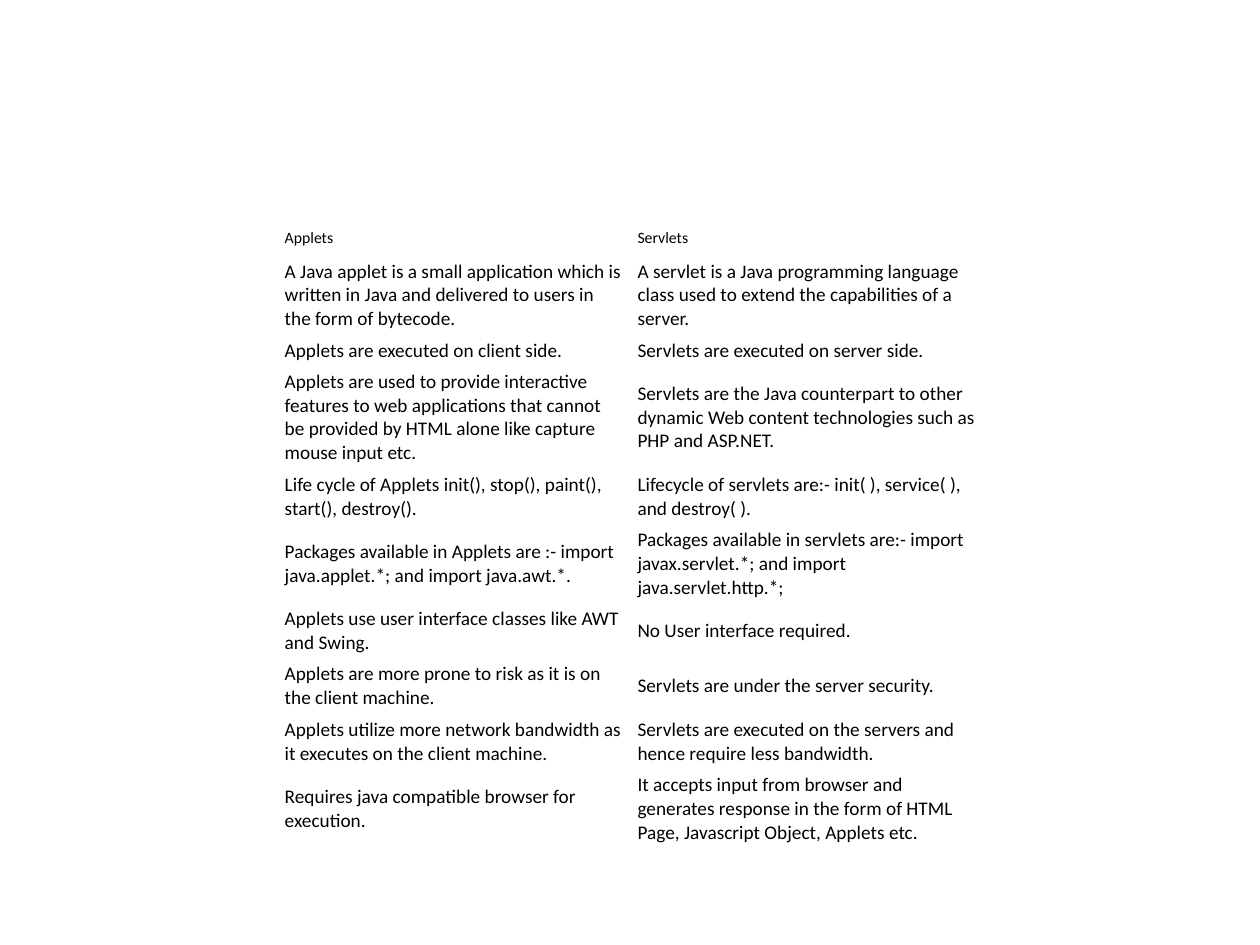
from dataclasses import dataclass
from typing import NamedTuple

from pptx import Presentation
from pptx.dml.color import RGBColor
from pptx.enum.text import MSO_ANCHOR
from pptx.util import Inches, Pt


@dataclass(frozen=True)
class Theme:
    font: str = "Calibri"
    ink: RGBColor = RGBColor(0x00, 0x00, 0x00)
    paper: RGBColor = RGBColor(0xFF, 0xFF, 0xFF)
    heading_size: int = 9
    body_size: int = 11
    side_margin: float = 0.06
    heading_margin: float = 0.06
    body_margin: float = 0.03


class Comparison(NamedTuple):
    applets: str
    servlets: str
    lines: int


THEME = Theme()
HEADINGS = ("Applets", "Servlets")
HEADING_HEIGHT = 0.28
HEIGHT_BY_LINES = {1: 0.25, 2: 0.44, 3: 0.62, 4: 0.81}
LEFT, TOP, COLUMN_WIDTH = 2.2, 1.75, 2.8

COMPARISONS = [
    Comparison(
        "A Java applet is a small application which is written in Java and "
        "delivered to users in the form of bytecode.",
        "A servlet is a Java programming language class used to extend the "
        "capabilities of a server.", 3),
    Comparison(
        "Applets are executed on client side.",
        "Servlets are executed on server side.", 1),
    Comparison(
        "Applets are used to provide interactive features to web applications "
        "that cannot be provided by HTML alone like capture mouse input etc.",
        "Servlets are the Java counterpart to other dynamic Web content "
        "technologies such as PHP and ASP.NET.", 4),
    Comparison(
        "Life cycle of Applets init(), stop(), paint(), start(), destroy().",
        "Lifecycle of servlets are:- init( ), service( ), and destroy( ).", 2),
    Comparison(
        "Packages available in Applets are :- import java.applet.*; and "
        "import java.awt.*.",
        "Packages available in servlets are:- import javax.servlet.*; and "
        "import java.servlet.http.*;", 3),
    Comparison(
        "Applets use user interface classes like AWT and Swing.",
        "No User interface required.", 2),
    Comparison(
        "Applets are more prone to risk as it is on the client machine.",
        "Servlets are under the server security.", 2),
    Comparison(
        "Applets utilize more network bandwidth as it executes on the client "
        "machine.",
        "Servlets are executed on the servers and hence require less "
        "bandwidth.", 2),
    Comparison(
        "Requires java compatible browser for execution.",
        "It accepts input from browser and generates response in the form of "
        "HTML Page, Javascript Object, Applets etc.", 3),
]


def fill_cell(cell, wording: str, size: int, vertical_margin: float) -> None:
    cell_format = {
        "vertical_anchor": MSO_ANCHOR.MIDDLE,
        "margin_left": Inches(THEME.side_margin),
        "margin_right": Inches(THEME.side_margin),
        "margin_top": Inches(vertical_margin),
        "margin_bottom": Inches(vertical_margin),
    }
    for attribute, value in cell_format.items():
        setattr(cell, attribute, value)
    cell.fill.solid()
    cell.fill.fore_color.rgb = THEME.paper

    run = cell.text_frame.paragraphs[0].add_run()
    run.text = wording
    font_format = {"name": THEME.font, "size": Pt(size), "bold": False}
    for attribute, value in font_format.items():
        setattr(run.font, attribute, value)
    run.font.color.rgb = THEME.ink


def fill_row(table, index: int, wordings: tuple[str, ...], height: float,
             size: int, vertical_margin: float) -> None:
    table.rows[index].height = Inches(height)
    for cell, wording in zip(table.rows[index].cells, wordings):
        fill_cell(cell, wording, size, vertical_margin)


def add_comparison_table(slide) -> None:
    heights = [HEIGHT_BY_LINES[item.lines] for item in COMPARISONS]
    table = slide.shapes.add_table(
        len(COMPARISONS) + 1, len(HEADINGS), Inches(LEFT), Inches(TOP),
        Inches(COLUMN_WIDTH * len(HEADINGS)),
        Inches(HEADING_HEIGHT + sum(heights))).table
    table.first_row = table.horz_banding = False
    for column in table.columns:
        column.width = Inches(COLUMN_WIDTH)

    fill_row(table, 0, HEADINGS, HEADING_HEIGHT,
             THEME.heading_size, THEME.heading_margin)
    for index, (item, height) in enumerate(zip(COMPARISONS, heights), start=1):
        fill_row(table, index, (item.applets, item.servlets), height,
                 THEME.body_size, THEME.body_margin)


def main() -> None:
    deck = Presentation()
    deck.slide_width, deck.slide_height = Inches(10), Inches(7.5)
    blank_layout = deck.slide_layouts[6]
    add_comparison_table(deck.slides.add_slide(blank_layout))
    deck.save("out.pptx")


if __name__ == "__main__":
    main()
